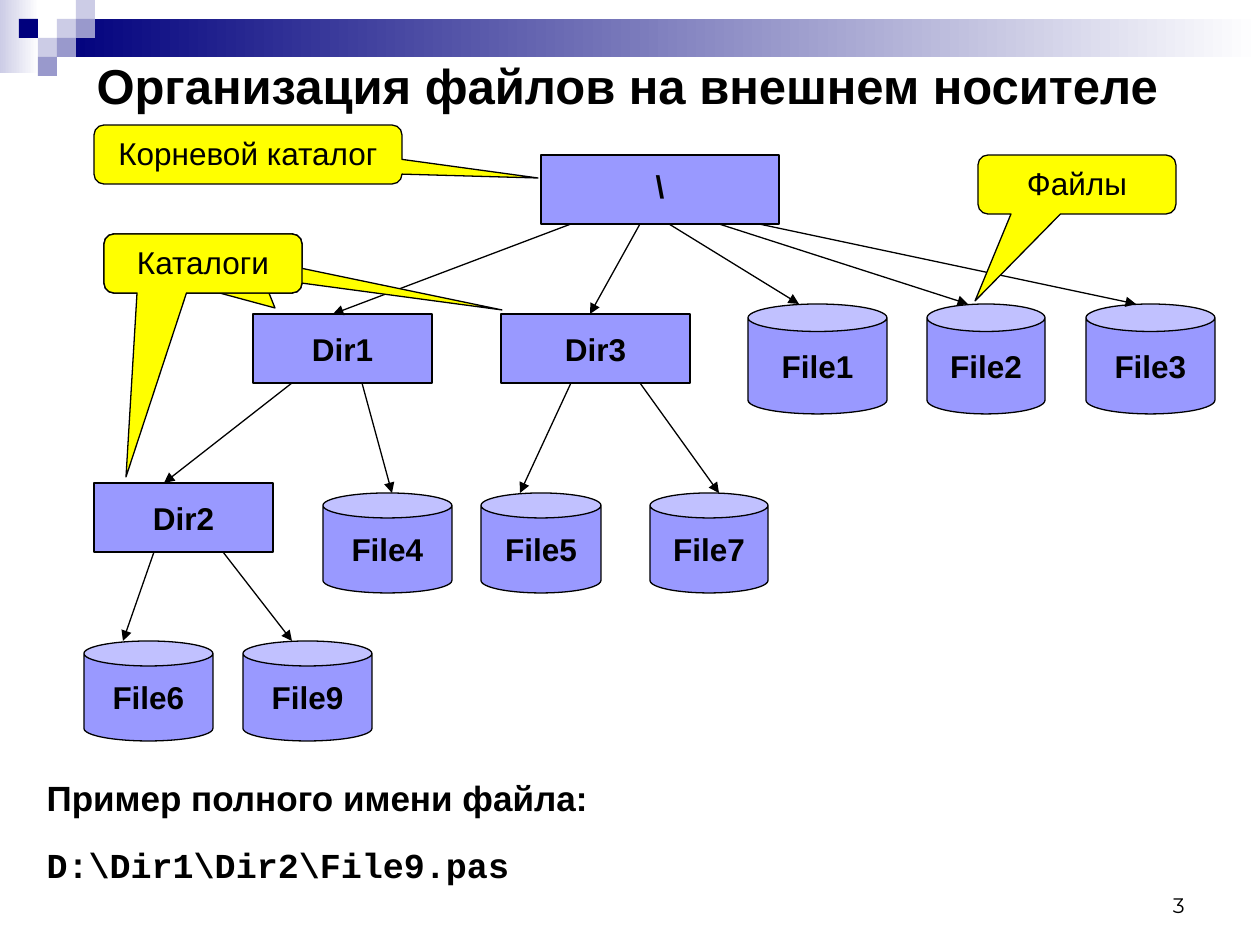
from lxml.etree import SubElement
from pptx import Presentation
from pptx.dml.color import RGBColor
from pptx.enum.shapes import MSO_CONNECTOR, MSO_SHAPE
from pptx.enum.text import MSO_ANCHOR, MSO_AUTO_SIZE, PP_ALIGN
from pptx.oxml.ns import qn
from pptx.util import Pt

PX = 914400 / 126  # EMU in one px


def emu(*lengths):
    return [round(v * PX) for v in lengths]


def rgb(color):
    return RGBColor.from_string(color)


def write(p, text, size=18, bold=False, font="Arial", color="000000",
          align=PP_ALIGN.LEFT, spacing=None, before=0):
    p.alignment = align
    p.space_before = Pt(before)
    if spacing:
        p.line_spacing = spacing
    r = p.add_run()
    r.text = text
    r.font.name, r.font.size, r.font.bold = font, Pt(size), bold
    r.font.color.rgb = rgb(color)


class Board:
    node_fill, note_fill, ink = "9999FF", "FFFF00", "000000"
    line_width = Pt(0.75)

    def __init__(self, prs):
        self.slide = prs.slides.add_slide(prs.slide_layouts[1])

    def place(self, sp, box):
        sp.left, sp.top, sp.width, sp.height = emu(*box)

    def shape(self, kind, box, fill, outline=True):
        sp = self.slide.shapes.add_shape(kind, *emu(*box))
        sp.shadow.inherit = False
        if isinstance(fill, tuple):
            sp.fill.gradient()
            sp.fill.gradient_angle = 0
            for stop, color in zip(sp.fill.gradient_stops, fill):
                stop.color.rgb = rgb(color)
        else:
            sp.fill.solid()
            sp.fill.fore_color.rgb = rgb(fill)
        if outline:
            sp.line.color.rgb = rgb(self.ink)
            sp.line.width = self.line_width
        else:
            sp.line.fill.background()
        return sp

    def node(self, kind, box, text, spacing=None):
        tf = self.shape(kind, box, self.node_fill).text_frame
        tf.word_wrap = False
        tf.vertical_anchor = MSO_ANCHOR.MIDDLE
        write(tf.paragraphs[0], text, bold=True, align=PP_ALIGN.CENTER,
              spacing=spacing)

    def arrow(self, x1, y1, x2, y2):
        cn = self.slide.shapes.add_connector(
            MSO_CONNECTOR.STRAIGHT, *emu(x1, y1, x2, y2))
        cn.line.color.rgb = rgb(self.ink)
        cn.line.width = self.line_width
        SubElement(cn.line._get_or_add_ln(), qn("a:tailEnd"), type="triangle")
        SubElement(cn._element.spPr, qn("a:effectLst"))

    def callout(self, box, text, tip):
        sp = self.shape(MSO_SHAPE.ROUNDED_RECTANGULAR_CALLOUT, box,
                        self.note_fill)
        x, y, w, h = box
        sp.adjustments[0] = (tip[0] - x - w / 2) / w
        sp.adjustments[1] = (tip[1] - y - h / 2) / h
        tf = sp.text_frame
        tf.word_wrap = True
        tf.vertical_anchor = MSO_ANCHOR.TOP
        write(tf.paragraphs[0], text, align=PP_ALIGN.CENTER)

    def title(self, box, text):
        sp = self.slide.shapes.title
        self.place(sp, box)
        tf = sp.text_frame
        tf.auto_size = MSO_AUTO_SIZE.NONE
        tf.vertical_anchor = MSO_ANCHOR.MIDDLE
        write(tf.paragraphs[0], text, size=28, bold=True)

    def body(self, box, lines):
        sp = self.slide.placeholders[1]
        self.place(sp, box)
        tf = sp.text_frame
        tf.auto_size = MSO_AUTO_SIZE.NONE
        for i, (text, font, spacing) in enumerate(lines):
            p = tf.add_paragraph() if i else tf.paragraphs[0]
            write(p, text, size=20, bold=True, font=font, spacing=spacing,
                  before=5)
            pPr = p._p.get_or_add_pPr()
            indent = emu(48)[0]
            pPr.set("marL", str(indent))
            pPr.set("indent", str(-indent))
            SubElement(pPr, qn("a:buNone"))

    def page_number(self, box, text):
        tf = self.slide.shapes.add_textbox(*emu(*box)).text_frame
        tf.word_wrap = True
        tf.vertical_anchor = MSO_ANCHOR.BOTTOM
        write(tf.paragraphs[0], text, size=12, font="Montserrat",
              align=PP_ALIGN.RIGHT)


def main():
    prs = Presentation()
    prs.slide_width, prs.slide_height = emu(1260, 945)
    board = Board(prs)

    # Header bands and mosaic
    rect, can = MSO_SHAPE.RECTANGLE, MSO_SHAPE.CAN
    board.shape(rect, (0, 0, 39, 73), ("CCCCE6", "FFFFFF"), outline=False)
    board.shape(rect, (57, 19, 1203, 38), ("00007D", "FFFFFF"), outline=False)
    cell = 19
    mosaic = [(3, 1, "CCCCE6"), (4, 0, "CCCCE6"), (4, 1, "9999CC"),
              (2, 2, "CCCCE6"), (1, 1, "00007D"), (3, 2, "9999CC"),
              (2, 3, "9999CC")]
    for col, row, color in mosaic:
        board.shape(rect, (col * cell, row * cell, cell, cell), color,
                    outline=False)

    # Title, example and page number
    board.page_number((903, 861, 294, 63), "3")
    board.title((84, 55, 1142, 59), "Организация файлов на внешнем носителе")
    board.body((34, 770, 1191, 139), [
        ("Пример полного имени файла:", "Arial", None),
        ("D:\\Dir1\\Dir2\\File9.pas", "Courier New", 1.4)])

    # Directories: left, top, width
    board.node(rect, (541, 155, 238, 69), "\\", spacing=0.8)
    for name, x, y, w in [("Dir1", 253, 314, 179), ("Dir3", 501, 314, 189),
                          ("Dir2", 94, 483, 179)]:
        board.node(rect, (x, y, w, 69), name)

    # Files by level: top, height, then name, left, width
    levels = [
        (304, 110, [("File1", 748, 139), ("File2", 927, 118),
                    ("File3", 1086, 129)]),
        (493, 100, [("File4", 323, 129), ("File5", 481, 120),
                    ("File7", 650, 118)]),
        (641, 100, [("File6", 84, 129), ("File9", 243, 129)])]
    for y, h, files in levels:
        for name, x, w in files:
            board.node(can, (x, y, w, h), name)

    # Arrows by bottom edge of the parent: start x, end x, end y
    branches = {
        224: [(759, 1136, 304), (719, 968, 304), (669, 799, 304),
              (640, 590, 314), (571, 333, 314)],
        383: [(571, 520, 493), (640, 719, 493), (292, 164, 483),
              (362, 392, 493)],
        552: [(154, 123, 641), (223, 292, 641)]}
    for y, ends in branches.items():
        for x1, x2, y2 in ends:
            board.arrow(x1, y, x2, y2)

    # Callouts; one label points at three directories
    board.callout((94, 125, 308, 59), "Корневой каталог", (538, 178))
    for tip in [(275, 308), (502, 310), (126, 477)]:
        board.callout((104, 234, 198, 59), "Каталоги", tip)
    board.callout((978, 155, 198, 59), "Файлы", (975, 301))

    prs.save("out.pptx")


if __name__ == "__main__":
    main()
